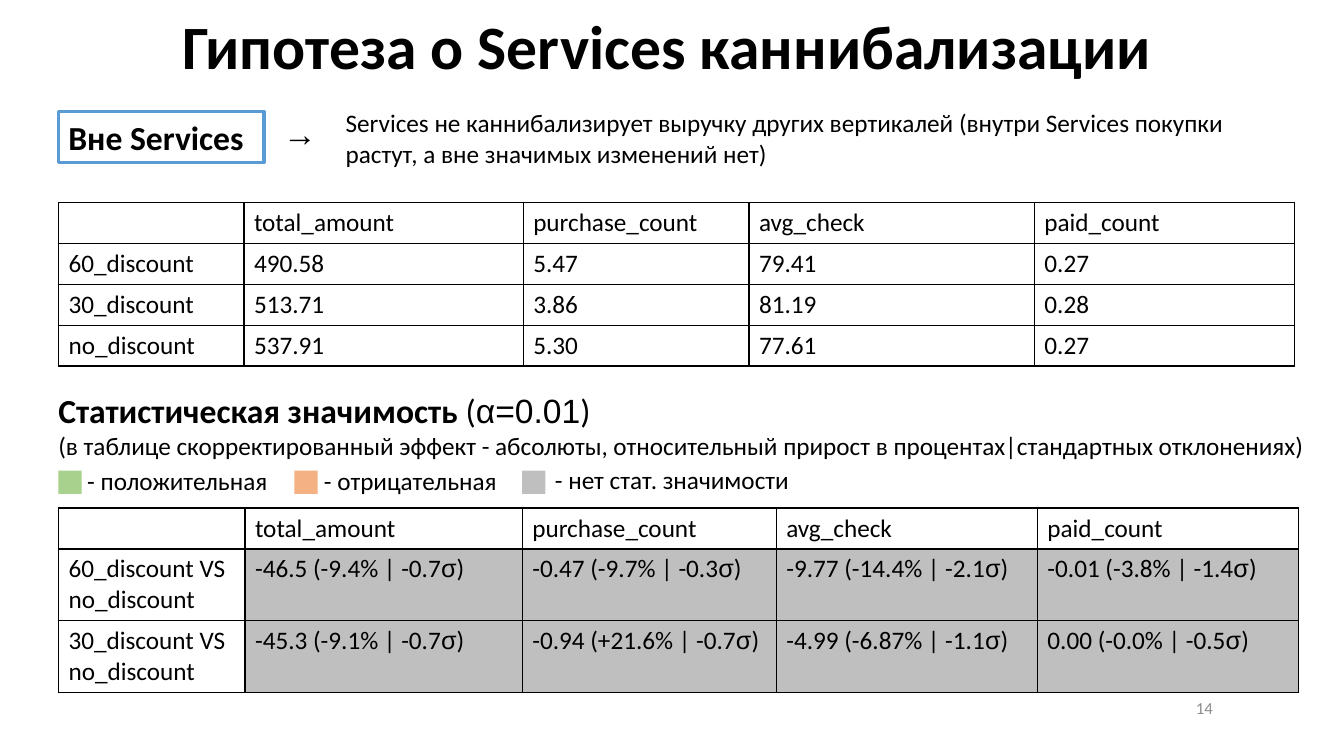
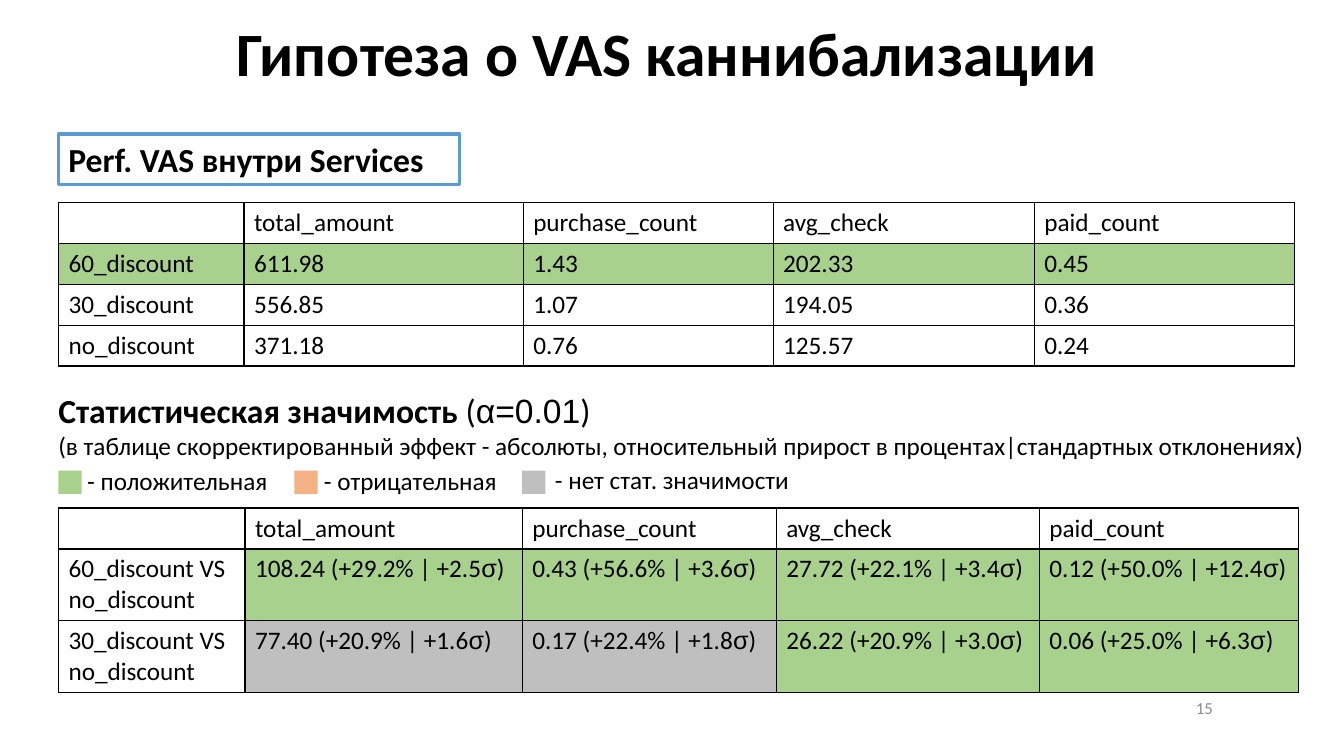
import pptx
import pptx.util
import pptx.dml.color
import pptx.enum.shapes
import pptx.enum.text
import pptx.oxml
import pptx.oxml.ns

HUES = {
    "ink": "000000", "paper": "FFFFFF", "edge": "5B9BD5", "page": "8C8C8C",
    "good": "A9D18E", "bad": "F4B183", "none": "BFBFBF",
}
LEFT = 4.35
HEADS = ["", "total_amount", "purchase_count", "avg_check", "paid_count"]
ALIGN = pptx.enum.text.PP_ALIGN
MID = pptx.enum.text.MSO_ANCHOR.MIDDLE


def tint(name):
    return pptx.dml.color.RGBColor.from_string(HUES[name])


class Deck:
    font = "Calibri"
    greek = "Arial"
    body = 18
    head = 24

    def __init__(self):
        self.file = pptx.Presentation()
        self.file.slide_width = pptx.util.Inches(13.33)
        self.file.slide_height = pptx.util.Inches(7.5)
        self.slide = None

    def wide(self, share):
        return round(self.file.slide_width * share / 100)

    def high(self, share):
        return round(self.file.slide_height * share / 100)

    def area(self, x, y, w, h):
        return self.wide(x), self.high(y), self.wide(w), self.high(h)

    def run(self, para, text, size=body, bold=False, font=font, hue="ink"):
        run = para.add_run()
        run.text = text
        run.font.size = pptx.util.Pt(size)
        run.font.bold = bold
        run.font.name = font
        run.font.color.rgb = tint(hue)

    def title(self, text, y):
        self.slide = self.file.slides.add_slide(self.file.slide_layouts[5])
        shape = self.slide.shapes.title
        shape.left, shape.top, shape.width, shape.height = self.area(3.6, y, 92.1, 11.87)
        frame = shape.text_frame
        frame.auto_size = pptx.enum.text.MSO_AUTO_SIZE.NONE
        frame.vertical_anchor = MID
        para = frame.paragraphs[0]
        para.alignment = ALIGN.CENTER
        para.line_spacing = 0.9
        self.run(para, text, 44, True)

    def text(self, area, text, wrap=True, **style):
        frame = self.slide.shapes.add_textbox(*self.area(*area)).text_frame
        frame.word_wrap = wrap
        self.run(frame.paragraphs[0], text, **style)
        return frame

    def box(self, area, fill, edge=None):
        kind = pptx.enum.shapes.MSO_SHAPE.RECTANGLE
        shape = self.slide.shapes.add_shape(kind, *self.area(*area))
        shape.shadow.inherit = False
        shape.fill.solid()
        shape.fill.fore_color.rgb = tint(fill)
        if edge:
            shape.line.color.rgb = tint(edge)
            shape.line.width = pptx.util.Pt(2.25)
        else:
            shape.line.fill.background()
        frame = shape.text_frame
        frame.word_wrap = True
        frame.vertical_anchor = pptx.enum.text.MSO_ANCHOR.TOP
        frame.paragraphs[0].alignment = ALIGN.LEFT
        return frame

    def tag(self, text, y, w):
        frame = self.box((LEFT, y, w, 6.67), "paper", "edge")
        self.run(frame.paragraphs[0], text, self.head, True)

    def note(self):
        frame = self.box((3.6, 50.93, 95.4, 16.13), "paper")
        para = frame.paragraphs[0]
        self.run(para, "Статистическая значимость ", self.head, True)
        self.run(para, "(", self.head)
        self.run(para, "α=0.01", self.head, font=self.greek)
        self.run(para, ")", self.head)
        para = frame.add_paragraph()
        para.alignment = ALIGN.LEFT
        self.run(para, "(в таблице скорректированный эффект - абсолюты, относительный "
                       "прирост в процентах|стандартных отклонениях)")

    def legend(self):
        for hue, x, start, y, w, text in (
            ("good", LEFT, 5.33, 60.93, 16.2, " - положительная"),
            ("bad", 21.9, 22.95, 60.93, 15.15, " - отрицательная"),
            ("none", 38.85, 40.13, 60.8, 19.88, " - нет стат. значимости"),
        ):
            self.box((x, 62.27, 1.73, 3.07), hue)
            self.text((start, y, w, 5.33), text)

    def cell(self, cell, text, hue):
        props = cell._tc.get_or_add_tcPr()
        for side in ("lnL", "lnR", "lnT", "lnB"):
            props.append(pptx.oxml.parse_xml(
                f'<a:{side} {pptx.oxml.ns.nsdecls("a")} w="12700"><a:solidFill>'
                f'<a:srgbClr val="{HUES["ink"]}"/></a:solidFill></a:{side}>'))
        if hue:
            cell.fill.solid()
            cell.fill.fore_color.rgb = tint(hue)
        else:
            cell.fill.background()
        para = cell.text_frame.paragraphs[0]
        for part in text.partition("σ"):
            if part:
                self.run(para, part, font=self.greek if part == "σ" else self.font)

    def table(self, y, cols, tall, rows, fills):
        rows = [HEADS] + rows
        highs = [5.41] + [tall] * (len(rows) - 1)
        area = self.area(LEFT, y, sum(cols), sum(highs))
        table = self.slide.shapes.add_table(len(rows), len(cols), *area).table
        table.first_row = table.horz_banding = False
        for col, share in zip(table.columns, cols):
            col.width = self.wide(share)
        for row, share in zip(table.rows, highs):
            row.height = self.high(share)
        for r, row in enumerate(rows):
            for c, text in enumerate(row):
                self.cell(table.cell(r, c), text, fills.get((r, c)))

    def page(self, number):
        frame = self.text((68.1, 90.93, 22.88, 5.33), str(number), size=12, hue="page")
        frame.vertical_anchor = MID
        frame.paragraphs[0].alignment = ALIGN.RIGHT

    def report(self, number, means, tests):
        self.note()
        self.legend()
        names = ["60_discount", "30_discount", "no_discount"]
        cols, rows, fills = means
        rows = [[name] + row for name, row in zip(names, rows)]
        self.table(26.8, cols, 5.41, rows, fills)
        cols, rows, fills = tests
        rows = [[f"{name} VS no_discount"] + row for name, row in zip(names, rows)]
        self.table(67.2, cols, 9.48, rows, fills)
        self.page(number)


deck = Deck()
deck.title("Гипотеза о Services каннибализации", 0.67)
deck.report(
    14,
    ([13.8, 20.78, 16.8, 21.23, 19.35], [
        ["490.58", "5.47", "79.41", "0.27"],
        ["513.71", "3.86", "81.19", "0.28"],
        ["537.91", "5.30", "77.61", "0.27"],
    ], {}),
    ([13.88, 20.63, 18.9, 19.43, 19.43], [
        ["-46.5 (-9.4% | -0.7σ)", "-0.47 (-9.7% | -0.3σ)",
         "-9.77 (-14.4% | -2.1σ)", "-0.01 (-3.8% | -1.4σ)"],
        ["-45.3 (-9.1% | -0.7σ)", "-0.94 (+21.6% | -0.7σ)",
         "-4.99 (-6.87% | -1.1σ)", "0.00 (-0.0% | -0.5σ)"],
    ], {(r, c): "none" for r in (1, 2) for c in range(1, 5)}),
)
deck.tag("Вне Services", 14.8, 15.3)
deck.text((20.33, 14.27, 4.05, 6.67), "→", wrap=False, size=deck.head, bold=True, font=deck.greek)
deck.text((24.98, 13.6, 71.25, 9.47),
          "Services не каннибализирует выручку других вертикалей (внутри Services "
          "покупки растут, а вне значимых изменений нет)")

deck.title("Гипотеза о VAS каннибализации", 1.6)
deck.report(
    15,
    ([13.8, 20.78, 18.6, 19.43, 19.35], [
        ["611.98", "1.43", "202.33", "0.45"],
        ["556.85", "1.07", "194.05", "0.36"],
        ["371.18", "0.76", "125.57", "0.24"],
    ], {(1, c): "good" for c in range(5)}),
    ([13.88, 20.63, 18.9, 19.58, 19.28], [
        ["108.24 (+29.2% | +2.5σ)", "0.43 (+56.6% | +3.6σ)",
         "27.72 (+22.1% | +3.4σ)", "0.12 (+50.0% | +12.4σ)"],
        ["77.40 (+20.9% | +1.6σ)", "0.17 (+22.4% | +1.8σ)",
         "26.22 (+20.9% | +3.0σ)", "0.06 (+25.0% | +6.3σ)"],
    ], {(r, c): "none" if r == 2 and c < 3 else "good" for r in (1, 2) for c in range(1, 5)}),
)
deck.tag("Perf. VAS внутри Services", 17.73, 29.85)

deck.file.save("out.pptx")
